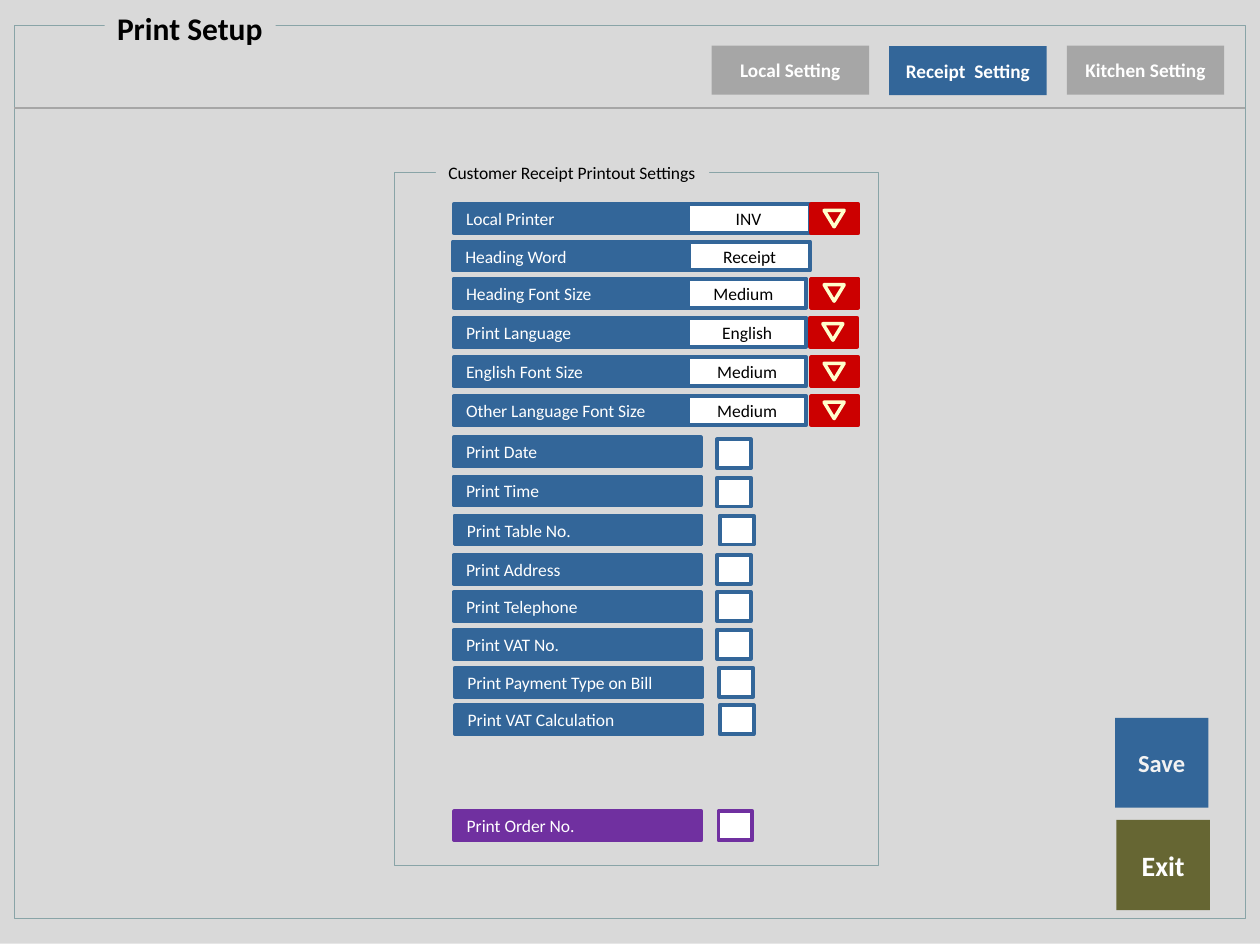
from dataclasses import dataclass

from lxml import etree
from pptx import Presentation
from pptx.dml.color import RGBColor
from pptx.enum import shapes, text
from pptx.oxml import ns
from pptx.util import Pt


@dataclass(frozen=True)
class Theme:
    font: str = "Calibri"
    page: str = "D9D9D9"
    blue: str = "336699"
    gray: str = "A6A6A6"
    frame: str = "89A4A7"
    olive: str = "666633"
    purple: str = "7030A0"
    red: str = "CC0000"
    cream: str = "FFFFCC"
    white: str = "FFFFFF"
    pale: str = "F2F2F2"
    black: str = "000000"
    body: float = 10
    tab: float = 11
    save: float = 14
    exit: float = 16
    title: float = 18
    border: float = 2.25


THEME = Theme()
ROW_HEIGHT = 16.5


@dataclass(frozen=True)
class Button:
    caption: str
    left: float
    top: float
    width: float
    height: float
    fill: str
    size: float
    color: str = THEME.white


@dataclass(frozen=True)
class Choice:
    label: str
    value: str
    top: float
    left: float = 259.2
    value_left: float = 393.1
    value_width: float = 67.7
    arrow_left: float | None = 463.7


@dataclass(frozen=True)
class Check:
    label: str
    top: float
    left: float = 259.2
    box_left: float = 409.7
    box_drop: float = 0
    color: str = THEME.blue


def add_box(parent, left: float, top: float, width: float, height: float,
            fill: str | None = None, line: str | None = None,
            weight: float = THEME.border,
            kind=shapes.MSO_SHAPE.RECTANGLE):
    box = parent.add_shape(kind, Pt(left), Pt(top), Pt(width), Pt(height))
    box.shadow.inherit = False
    if fill:
        box.fill.solid()
        box.fill.fore_color.rgb = RGBColor.from_string(fill)
    else:
        box.fill.background()
    if line:
        box.line.color.rgb = RGBColor.from_string(line)
        box.line.width = Pt(weight)
    else:
        box.line.fill.background()
    return box


def write(box, words: str, *, size: float = THEME.body, color: str = THEME.white,
          bold: bool = False, centered: bool = False, top: bool = False) -> None:
    frame = box.text_frame
    frame.word_wrap = False
    frame.vertical_anchor = text.MSO_ANCHOR.TOP if top else text.MSO_ANCHOR.MIDDLE
    para = frame.paragraphs[0]
    para.alignment = text.PP_ALIGN.CENTER if centered else text.PP_ALIGN.LEFT
    span = para.add_run()
    span.text = words
    span.font.name = THEME.font
    span.font.size = Pt(size)
    span.font.bold = bold
    span.font.color.rgb = RGBColor.from_string(color)


def add_button(page, button: Button) -> None:
    box = add_box(page.shapes, button.left, button.top, button.width,
                  button.height, button.fill)
    write(box, button.caption, size=button.size, color=button.color,
          bold=True, centered=True)


def add_label(page, words: str, left: float, top: float, width: float,
              color: str) -> None:
    write(add_box(page.shapes, left, top, width, ROW_HEIGHT, color, color), words)


def add_arrow(page, left: float, top: float) -> None:
    group = page.shapes.add_group_shape()
    add_box(group.shapes, left, top, 26.8, ROW_HEIGHT, THEME.red, THEME.red)
    triangle = add_box(group.shapes, left + 7.2, top + 3.4, 11.5, 9.4,
                       THEME.red, THEME.cream, 2,
                       shapes.MSO_SHAPE.ISOSCELES_TRIANGLE)
    triangle.rotation = 180


def add_choice(page, row: Choice) -> None:
    value = add_box(page.shapes, row.value_left, row.top, row.value_width,
                    ROW_HEIGHT, THEME.white, THEME.blue)
    write(value, row.value, color=THEME.black, centered=True)
    add_label(page, row.label, row.left, row.top, 134, THEME.blue)
    if row.arrow_left is not None:
        add_arrow(page, row.arrow_left, row.top)


def add_check(page, row: Check) -> None:
    add_label(page, row.label, row.left, row.top, 141.2, row.color)
    add_box(page.shapes, row.box_left, row.top + row.box_drop, 19.4,
            ROW_HEIGHT, THEME.white, row.color)


def add_divider(page, left: float, right: float, top: float) -> None:
    line = page.shapes.add_connector(shapes.MSO_CONNECTOR.STRAIGHT, Pt(left),
                                     Pt(top), Pt(right), Pt(top))
    line.line.color.rgb = RGBColor.from_string(THEME.gray)
    line.line.width = Pt(0.75)
    etree.SubElement(line._element.spPr, ns.qn("a:effectLst"))


def add_heading(page, words: str, left: float, top: float, width: float,
                height: float, size: float, bold: bool = False) -> None:
    box = add_box(page.shapes, left, top, width, height, THEME.page)
    write(box, words, size=size, color=THEME.black, bold=bold, top=True)
    box.text_frame.auto_size = text.MSO_AUTO_SIZE.SHAPE_TO_FIT_TEXT


BUTTONS = [
    Button("Local Setting", 406.6, 26.1, 90, 28, THEME.gray, THEME.tab),
    Button("Receipt  Setting", 508.1, 26.4, 90, 28, THEME.blue, THEME.tab),
    Button("Kitchen Setting", 609.6, 26.1, 90, 28, THEME.gray, THEME.tab),
    Button("Save", 637.2, 410.3, 53.3, 51.3, THEME.blue, THEME.save, THEME.pale),
    Button("Exit", 638, 468.6, 53.4, 51.6, THEME.olive, THEME.exit),
]

CHOICES = [
    Choice("Local Printer", "INV", 116.8, value_left=392.4, value_width=70.6),
    Choice("Heading Word", "Receipt", 138.1, left=258.8, value_left=393.8,
           value_width=69.1, arrow_left=None),
    Choice("Heading Font Size", "Medium", 159.3, value_left=388.8, value_width=72),
    Choice("Print Language", "English", 181.6, arrow_left=463),
    Choice("English Font Size", "Medium", 204.2),
    Choice("Other Language Font Size", "Medium", 226.4),
]

CHECKS = [
    Check("Print Date", 249.9, box_drop=1.2),
    Check("Print Time", 272.3, box_drop=0.7),
    Check("Print Table No.", 294.7, left=259.7, box_left=411.3),
    Check("Print Address", 317.2),
    Check("Print Telephone", 338.4),
    Check("Print VAT No.", 360),
    Check("Print Payment Type on Bill", 381.6, left=260, box_left=411),
    Check("Print VAT Calculation", 403.1, left=260.2, box_left=411.3),
    Check("Print Order No.", 463.6, left=259.6, box_left=410.6,
          color=THEME.purple),
]


def main() -> None:
    deck = Presentation()
    deck.slide_width, deck.slide_height = Pt(720), Pt(540)
    page = deck.slides.add_slide(deck.slide_layouts[6])

    # Window background, frame and title
    add_box(page.shapes, 0, -0.72, 720, 540, THEME.page)
    add_box(page.shapes, 8.3, 14.5, 703.2, 510.4, line=THEME.frame, weight=0.5)
    add_heading(page, "Print Setup", 59.8, 1.4, 97.8, 29.1, THEME.title, bold=True)
    add_divider(page, 8.3, 711.5, 61.8)

    # Settings group
    add_box(page.shapes, 225.4, 98.5, 276.6, 396, line=THEME.frame, weight=0.5)
    add_heading(page, "Customer Receipt Printout Settings", 249.1, 88.8, 156.2,
                19.4, THEME.body)

    # Tabs and commands, drop-down rows, tick-box rows
    for button in BUTTONS:
        add_button(page, button)
    for choice in CHOICES:
        add_choice(page, choice)
    for check in CHECKS:
        add_check(page, check)

    deck.save("out.pptx")


if __name__ == "__main__":
    main()
